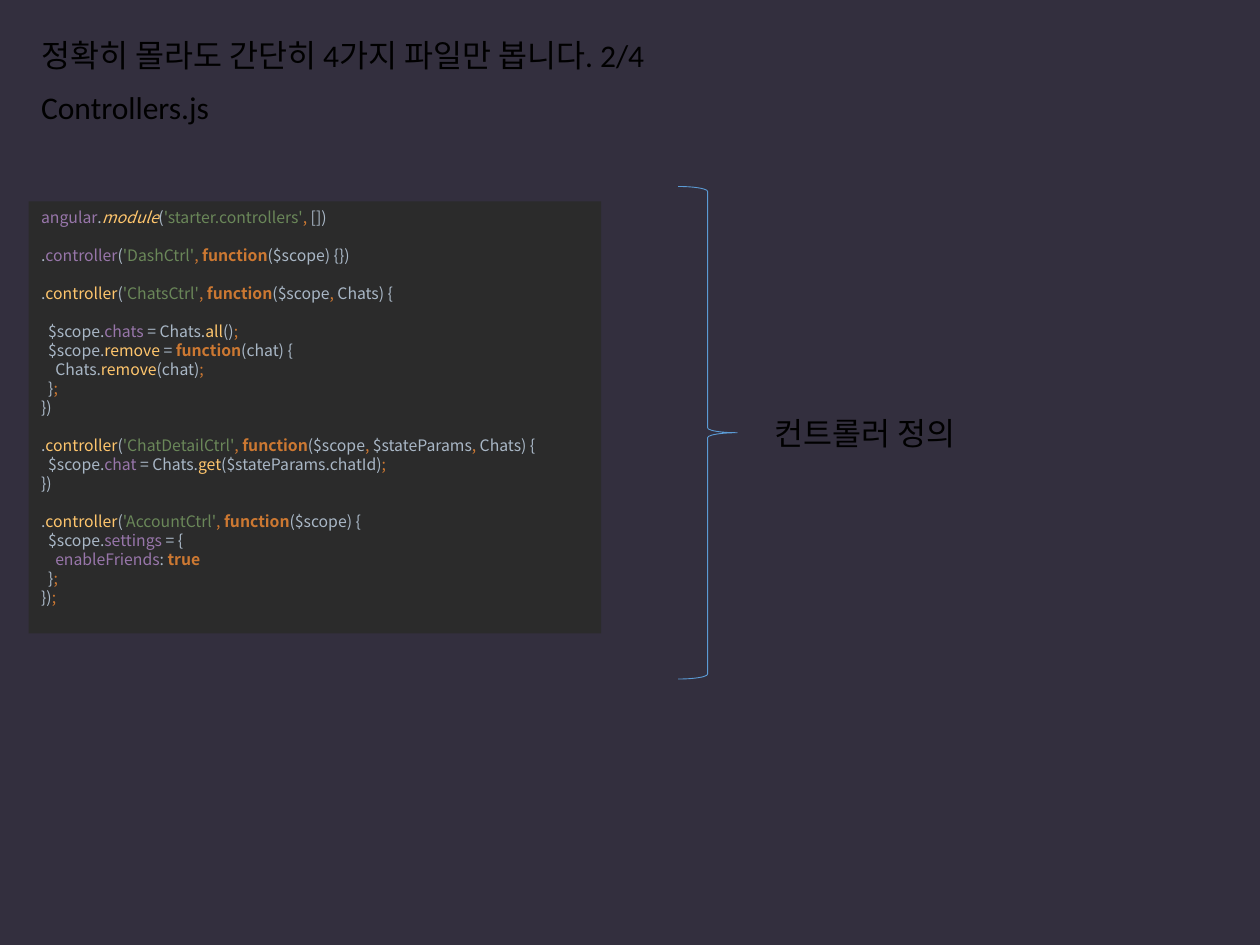
"""Build the slide that explains the controllers file."""
from pptx import Presentation
from pptx.dml.color import RGBColor
from pptx.enum.shapes import MSO_SHAPE
from pptx.enum.text import MSO_ANCHOR
from pptx.util import Cm, Pt

RECTANGLE = MSO_SHAPE.RECTANGLE
BRACE = MSO_SHAPE.RIGHT_BRACE
TOP = MSO_ANCHOR.TOP

BACKGROUND, CODE_FILL, BRACE_LINE = "332F3E", "2B2B2B", "5B9BD5"
STYLES = {
    "plain": ("A9B7C6", False, False),
    "name": ("9876AA", False, False),
    "call": ("FFC66D", False, False),
    "static": ("FFC66D", False, True),
    "string": ("6A8759", False, False),
    "mark": ("CC7832", False, False),
    "keyword": ("CC7832", True, False),
}
LABELS = [
    ("정확히 몰라도 간단히 4가지 파일만 봅니다. 2/4", 0.58, 0.61, 14.83),
    ("Controllers.js", 0.58, 1.65, 3.94),
    ("컨트롤러 정의", 15.37, 8.23, 7.11),
]


def controller(title, arguments, ending, style="call"):
    return [("plain", "."), (style, "controller"), ("plain", "("), ("string", title),
            ("mark", ", "), ("keyword", "function"), ("plain", "($scope"),
            *arguments, ("plain", ending)]


COMMA = ("mark", ", ")
SEMICOLON = ("mark", ";")
CLOSE_BLOCK = [("plain", "  }"), SEMICOLON]
CODE = [
    [("name", "angular"), ("plain", "."), ("static", "module"), ("plain", "("),
     ("string", "'starter.controllers'"), COMMA, ("plain", "[])")],
    [],
    controller("'DashCtrl'", [], ") {})", "name"),
    [],
    controller("'ChatsCtrl'", [COMMA], "Chats) {"),
    [],
    [("plain", "  $scope."), ("name", "chats "), ("plain", "= Chats."),
     ("call", "all"), ("plain", "()"), SEMICOLON],
    [("plain", "  $scope."), ("call", "remove "), ("plain", "= "),
     ("keyword", "function"), ("plain", "(chat) {")],
    [("plain", "    Chats."), ("call", "remove"), ("plain", "(chat)"), SEMICOLON],
    CLOSE_BLOCK,
    [("plain", "})")],
    [],
    controller("'ChatDetailCtrl'", [COMMA, ("plain", "$stateParams"), COMMA], "Chats) {"),
    [("plain", "  $scope."), ("name", "chat "), ("plain", "= Chats."),
     ("call", "get"), ("plain", "($stateParams.chatId)"), SEMICOLON],
    [("plain", "})")],
    [],
    controller("'AccountCtrl'", [], ") {"),
    [("plain", "  $scope."), ("name", "settings "), ("plain", "= {")],
    [("name", "    enableFriends"), ("plain", ": "), ("keyword", "true")],
    CLOSE_BLOCK,
    [("plain", "})"), SEMICOLON],
]


def color(value):
    return RGBColor.from_string(value)


def add_span(para, text, font, size, shade, bold=False, italic=False):
    span = para.add_run()
    span.text = text
    span.font.name = font
    span.font.size = Pt(size)
    span.font.color.rgb = color(shade)
    span.font.bold = bold
    span.font.italic = italic


def add_label(page, text, left, top, width):
    box = page.shapes.add_textbox(Cm(left), Cm(top), Cm(width), Cm(1.03))
    box.text_frame.word_wrap = True
    add_span(box.text_frame.paragraphs[0], text, "Calibri", 18, "000000")


def add_code(page):
    box = page.shapes.add_shape(RECTANGLE, Cm(0.58), Cm(4.06), Cm(11.54), Cm(8.71))
    box.shadow.inherit = False
    box.fill.solid()
    box.fill.fore_color.rgb = color(CODE_FILL)
    box.line.fill.background()
    frame = box.text_frame
    frame.word_wrap = True
    frame.vertical_anchor = TOP
    for index, line in enumerate(CODE):
        para = frame.add_paragraph() if index else frame.paragraphs[0]
        para.alignment = 1
        para.line_spacing = Pt(10.86)
        para.font.size = Pt(9)
        for style, text in line:
            add_span(para, text, "Noto Sans CJK KR", 9, *STYLES[style])


def add_brace(page):
    brace = page.shapes.add_shape(BRACE, Cm(13.67), Cm(3.76), Cm(1.19), Cm(9.93))
    brace.shadow.inherit = False
    brace.fill.background()
    brace.line.color.rgb = color(BRACE_LINE)
    brace.line.width = Pt(0.5)


def main():
    deck = Presentation()
    deck.slide_width, deck.slide_height = Cm(25.4), Cm(19.05)
    page = deck.slides.add_slide(deck.slide_layouts[6])
    page.background.fill.solid()
    page.background.fill.fore_color.rgb = color(BACKGROUND)
    add_code(page)
    add_brace(page)
    for label in LABELS:
        add_label(page, *label)
    deck.save("out.pptx")


if __name__ == "__main__":
    main()
